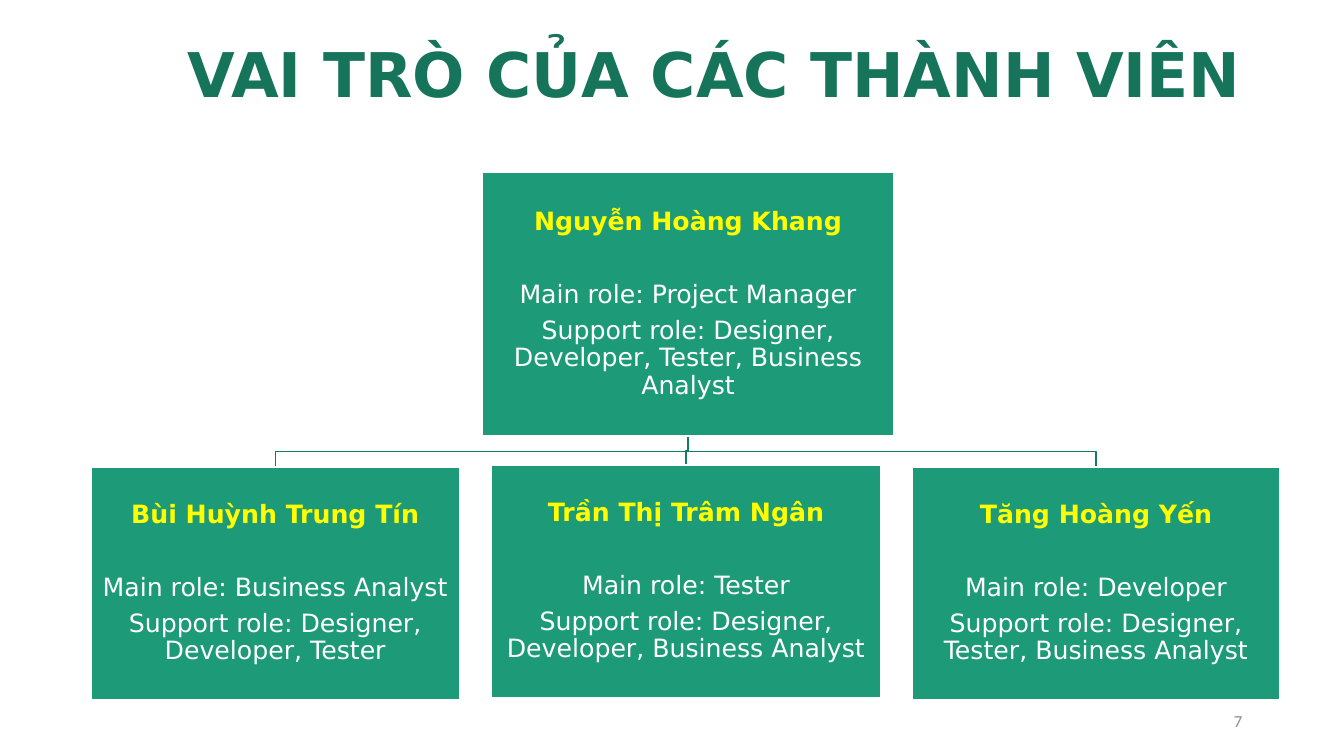
from pptx import Presentation
from pptx.dml.color import RGBColor
from pptx.enum.shapes import MSO_SHAPE
from pptx.enum.text import MSO_ANCHOR, MSO_AUTO_SIZE, PP_ALIGN
from pptx.util import Inches, Pt

COLORS = {"title": "16745A", "card": "1D9A78", "link": "177B60",
          "name": "FFFF00", "white": "FFFFFF", "number": "8C8C8C"}
SLIDE_WIDTH, SLIDE_HEIGHT = Inches(13.33), Inches(7.5)

# Boxes are left, top, width, height in percent of the slide.
TITLE_BOX = (10.35, 5.2, 85.67, 10.27)
NUMBER_BOX = (70.67, 92.67, 22.51, 5.33)
LEADER = ((35.86, 22.8, 30.68, 34.93), "Nguyễn Hoàng Khang", "Project Manager",
          "Designer, Developer, Tester, Business Analyst")
MEMBERS = [
    ((6.75, 61.73, 27.46, 30.93), "Bùi Huỳnh Trung Tín", "Business Analyst",
     "Designer, Developer, Tester"),
    ((36.53, 61.47, 29.03, 30.93), "Trần Thị Trâm Ngân", "Tester",
     "Designer, Developer, Business Analyst"),
    ((67.82, 61.73, 27.46, 30.93), "Tăng Hoàng Yến", "Developer",
     "Designer, Tester, Business Analyst"),
]


def color(name):
    return RGBColor.from_string(COLORS[name])


def to_lengths(box):
    left, top, width, height = box
    return (int(SLIDE_WIDTH * left / 100), int(SLIDE_HEIGHT * top / 100),
            int(SLIDE_WIDTH * width / 100), int(SLIDE_HEIGHT * height / 100))


def write(para, text, size=18, ink="white", font="DejaVu Sans", bold=False,
          align=PP_ALIGN.CENTER, spacing=0.9, after=0):
    para.alignment = align
    para.line_spacing = spacing
    para.space_after = Pt(after)
    span = para.add_run()
    span.text = text
    span.font.size = Pt(size)
    span.font.name = font
    span.font.bold = bold
    span.font.color.rgb = color(ink)


def add_title(slide, box, text):
    title = slide.shapes.title
    title.left, title.top, title.width, title.height = to_lengths(box)
    frame = title.text_frame
    frame.auto_size = MSO_AUTO_SIZE.NONE
    frame.vertical_anchor = MSO_ANCHOR.TOP
    write(frame.paragraphs[0], text, size=44, ink="title", bold=True)


def add_number(slide, box, text):
    frame = slide.shapes.add_textbox(*to_lengths(box)).text_frame
    frame.word_wrap = True
    frame.vertical_anchor = MSO_ANCHOR.MIDDLE
    write(frame.paragraphs[0], text, size=12, ink="number", font="Calibri",
          align=PP_ALIGN.RIGHT, spacing=1.0)


def add_link(slide, leader_box, member_box):
    """Bent line from the foot of the leader's card to the head of a member's."""
    left, top, width, height = to_lengths(leader_box)
    start_x, start_y = left + width // 2, top + height
    left, end_y, width, _ = to_lengths(member_box)
    end_x, bend_y = left + width // 2, (start_y + end_y) // 2
    builder = slide.shapes.build_freeform(start_x, start_y)
    builder.add_line_segments(
        [(start_x, bend_y), (end_x, bend_y), (end_x, end_y)], close=False)
    link = builder.convert_to_shape()
    link.shadow.inherit = False
    link.fill.background()
    link.line.color.rgb = color("link")
    link.line.width = Pt(1)


def add_card(slide, box, name, main_role, support_roles):
    card = slide.shapes.add_shape(MSO_SHAPE.RECTANGLE, *to_lengths(box))
    card.shadow.inherit = False
    card.fill.solid()
    card.fill.fore_color.rgb = color("card")
    card.line.color.rgb = color("white")
    card.line.width = Pt(1.5)
    frame = card.text_frame
    frame.word_wrap = True
    frame.vertical_anchor = MSO_ANCHOR.MIDDLE
    frame.margin_left = frame.margin_right = Inches(0.01)
    frame.margin_top = frame.margin_bottom = Inches(0.2)
    write(frame.paragraphs[0], name, ink="name", bold=True, after=32.5)
    for text in (f"Main role: {main_role}", f"Support role: {support_roles}"):
        write(frame.add_paragraph(), text, after=6.3)


def add_team(slide, leader, members):
    for member in members:
        add_link(slide, leader[0], member[0])
    for person in (leader, *members):
        add_card(slide, *person)


def main():
    deck = Presentation()
    deck.slide_width, deck.slide_height = SLIDE_WIDTH, SLIDE_HEIGHT
    slide = deck.slides.add_slide(deck.slide_layouts[5])
    add_title(slide, TITLE_BOX, "VAI TRÒ CỦA CÁC THÀNH VIÊN")
    add_number(slide, NUMBER_BOX, "7")
    add_team(slide, LEADER, MEMBERS)
    deck.save("out.pptx")


if __name__ == "__main__":
    main()
